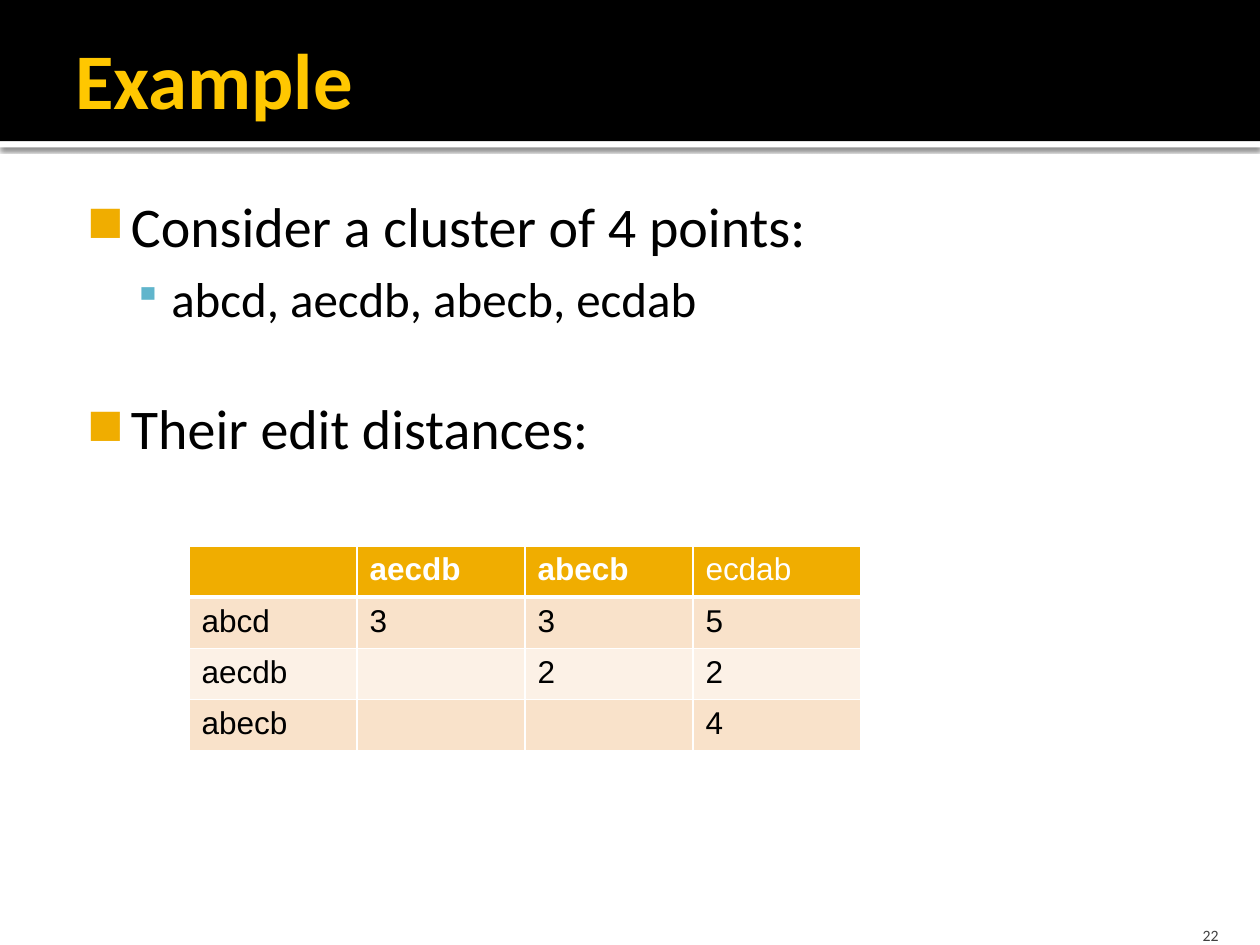
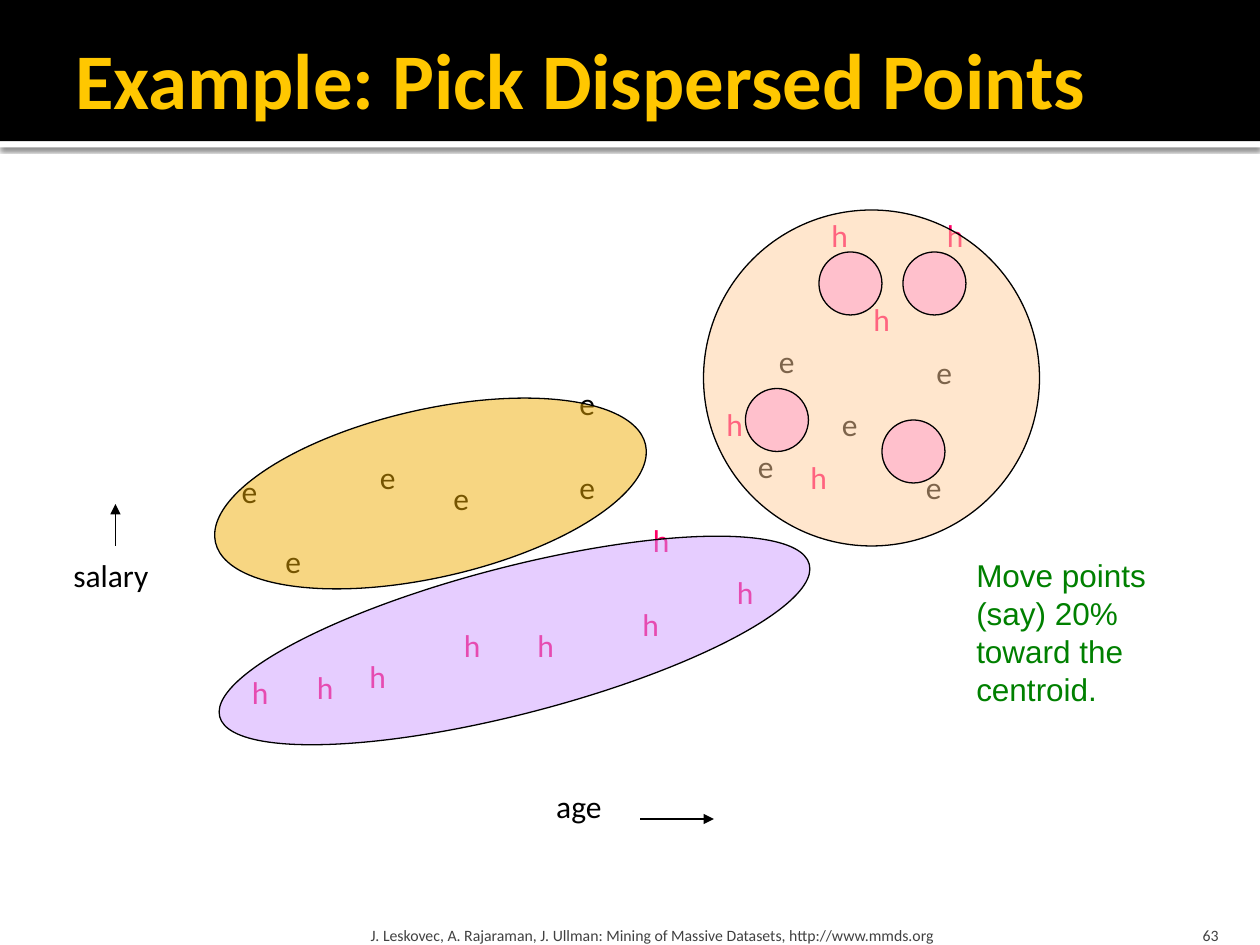
"""Build two clustering slides: an edit-distance table and a dispersed-points diagram."""
from dataclasses import dataclass

from lxml.etree import SubElement
from pptx import Presentation
from pptx.dml.color import RGBColor as RGB
from pptx.enum.shapes import MSO_CONNECTOR as Connector, MSO_SHAPE as Shape
from pptx.enum.text import MSO_ANCHOR as Anchor, MSO_AUTO_SIZE as AutoSize, PP_ALIGN as Align
from pptx.oxml.ns import qn
from pptx.util import Inches, Pt

COLUMNS, ROWS = 120, 90
TITLE_ONLY = 5


@dataclass(frozen=True)
class Theme:
    """Colours, fonts and type sizes shared by the slides."""
    black: str = "000000"
    white: str = "FFFFFF"
    title: str = "FFC700"
    amber: str = "F0AD00"
    teal: str = "60B5CC"
    footer: str = "414141"
    stripes: tuple = ("F9E2CA", "FCF1E6")
    rose: str = "FF0066"
    green: str = "008000"
    peach: str = "FFCC99"
    lilac: str = "CC99FF"
    pink: str = "FF99CC"
    face: str = "Calibri"
    plain_face: str = "Arial"
    title_size: int = 45
    body_sizes: tuple = (32, 28)
    label_size: int = 18
    footer_size: int = 9
    outline: float = 0.75


class Deck:
    """Holds the theme and the current slide, measured on a 120 by 90 grid."""

    def __init__(self, theme):
        """Open an empty 10 by 7.5 inch presentation."""
        self.theme = theme
        self.prs = Presentation()
        self.prs.slide_width, self.prs.slide_height = Inches(10), Inches(7.5)
        self.slide = None

    def x(self, columns):
        """Turn columns into a length."""
        return round(self.prs.slide_width * columns / COLUMNS)

    def y(self, rows):
        """Turn rows into a length."""
        return round(self.prs.slide_height * rows / ROWS)

    def area(self, left, top, width, height):
        """Turn a grid area into lengths."""
        return self.x(left), self.y(top), self.x(width), self.y(height)

    def new_slide(self, heading, number):
        """Start a slide with its bands, title and page number."""
        t = self.theme
        self.slide = self.prs.slides.add_slide(self.prs.slide_layouts[TITLE_ONLY])
        title = self.slide.shapes.title
        rule = self.shape(Shape.RECTANGLE, (0, 13.44, COLUMNS, 0.6), t.white)
        self.cast_shadow(rule)
        band = self.shape(Shape.RECTANGLE, (0, 0, COLUMNS, 13.44), t.black)
        for backdrop in (rule, band):
            title.element.addprevious(backdrop.element)
        title.left, title.top, title.width, title.height = self.area(6, 0.96, 108, 12.96)
        title.text_frame.text = heading
        self.frame(title.text_frame, (0.1, 0.05, 0.05, 0.05), Anchor.MIDDLE)
        paragraph = title.text_frame.paragraphs[0]
        paragraph.alignment = Align.LEFT
        self.style(paragraph.font, t.title_size, t.title, bold=True)
        self.footer(str(number), (107.64, 86.4, 9.6, 3.6), 0.1, Align.RIGHT)

    def style(self, font, size, color, face=None, bold=False):
        """Set the look of a font."""
        font.name, font.size, font.bold = face or self.theme.face, Pt(size), bold
        font.color.rgb = RGB.from_string(color)

    def frame(self, frame, margins=(0.1, 0.05, 0.1, 0.05), anchor=Anchor.TOP):
        """Set the margins, wrapping and anchor of a text frame."""
        frame.margin_left, frame.margin_top, frame.margin_right, frame.margin_bottom = map(
            Inches, margins)
        frame.word_wrap, frame.auto_size = True, AutoSize.NONE
        frame.vertical_anchor = anchor

    def label(self, text, area, color, face=None, size=None, align=Align.LEFT):
        """Place a text with one style and return its frame."""
        frame = self.slide.shapes.add_textbox(*self.area(*area)).text_frame
        frame.text = text
        self.frame(frame)
        for paragraph in frame.paragraphs:
            paragraph.alignment = align
            self.style(paragraph.font, size or self.theme.label_size, color, face)
        return frame

    def footer(self, text, area, side, align=Align.LEFT):
        """Place a small text at the foot of the slide."""
        frame = self.label(text, area, self.theme.footer, size=self.theme.footer_size, align=align)
        self.frame(frame, (side, 0.05, side, 0), Anchor.BOTTOM)

    def bullets(self, items, area):
        """Place a two-level list from (level, space before, text) items."""
        t = self.theme
        looks = (("◼", t.amber, 0.48, -0.35), ("▪", t.teal, 0.8, -0.3))
        frame = self.label("\n".join(text for *_, text in items), area, t.black)
        self.frame(frame, (0.06, 0.1, 0.1, 0.05))
        for paragraph, (level, gap, _) in zip(frame.paragraphs, items):
            mark, color, margin, indent = looks[level]
            paragraph.level, paragraph.space_before = level, Pt(gap)
            paragraph.font.size = Pt(t.body_sizes[level])
            props = paragraph._p.get_or_add_pPr()
            props.set("marL", str(Inches(margin)))
            props.set("indent", str(Inches(indent)))
            SubElement(SubElement(props, qn("a:buClr")), qn("a:srgbClr"), val=color)
            SubElement(props, qn("a:buSzPct"), val="80000")
            SubElement(props, qn("a:buChar"), char=mark)

    def shape(self, kind, area, color, opacity=None, outline=False, turn=0):
        """Place a filled preset shape."""
        shape = self.slide.shapes.add_shape(kind, *self.area(*area))
        shape.shadow.inherit = False
        shape.rotation = turn
        shape.fill.solid()
        shape.fill.fore_color.rgb = RGB.from_string(color)
        if opacity:
            fill = shape.element.spPr.find(qn("a:solidFill"))
            SubElement(fill[0], qn("a:alpha"), val=str(opacity * 1000))
        if outline:
            shape.line.color.rgb = RGB.from_string(self.theme.black)
            shape.line.width = Pt(self.theme.outline)
        else:
            shape.line.fill.background()
        return shape

    def cast_shadow(self, shape):
        """Give a shape a soft shadow below it."""
        effects = shape.element.spPr.find(qn("a:effectLst"))
        shadow = SubElement(effects, qn("a:outerShdw"), blurRad=str(Pt(2.5)), dist=str(Pt(0.8)),
                            dir="5400000", algn="t", rotWithShape="0")
        color = SubElement(shadow, qn("a:srgbClr"), val=self.theme.black)
        SubElement(color, qn("a:alpha"), val="60000")

    def cluster(self, area, color, turn=0):
        """Place a see-through outlined ellipse."""
        self.shape(Shape.OVAL, area, color, opacity=49, outline=True, turn=turn)

    def arrow(self, start, end):
        """Draw an arrow between two grid points."""
        (left, top), (right, bottom) = start, end
        arrow = self.slide.shapes.add_connector(
            Connector.STRAIGHT, self.x(left), self.y(top), self.x(right), self.y(bottom))
        arrow.line.color.rgb = RGB.from_string(self.theme.black)
        arrow.line.width = Pt(self.theme.outline)
        props = arrow.element.spPr
        SubElement(props.find(qn("a:ln")), qn("a:tailEnd"), type="triangle")
        SubElement(props, qn("a:effectLst"))

    def table(self, rows, area, plain_heads=()):
        """Place a banded table whose first row is the header."""
        t = self.theme
        grid = self.slide.shapes.add_table(len(rows), len(rows[0]), *self.area(*area)).table
        for r, row in enumerate(rows):
            for c, text in enumerate(row):
                cell, head = grid.cell(r, c), r == 0
                self.borders(cell, top=3 if r == 1 else 1, bottom=3 if head else 1)
                cell.fill.solid()
                cell.fill.fore_color.rgb = RGB.from_string(
                    t.amber if head else t.stripes[(r - 1) % 2])
                cell.text = text
                self.style(cell.text_frame.paragraphs[0].font, t.label_size,
                           t.white if head else t.black, t.plain_face,
                           bold=head and text not in plain_heads)

    def borders(self, cell, top, bottom):
        """Draw white borders around a cell."""
        props = cell._tc.get_or_add_tcPr()
        for side, width in (("L", 1), ("R", 1), ("T", top), ("B", bottom)):
            line = SubElement(props, qn(f"a:ln{side}"), w=str(Pt(width)))
            SubElement(SubElement(line, qn("a:solidFill")), qn("a:srgbClr"), val=self.theme.white)


def edit_distances(deck):
    """Build the slide with the table of edit distances."""
    deck.new_slide("Example", 22)
    deck.bullets([(0, 0, "Consider a cluster of 4 points:"),
                  (1, 5.6, "abcd, aecdb, abecb, ecdab"),
                  (0, 38, "Their edit distances:")], (6, 17.04, 108, 69))
    deck.table([("", "aecdb", "abecb", "ecdab"),
                ("abcd", "3", "3", "5"),
                ("aecdb", "", "2", "2"),
                ("abecb", "", "", "4")], (18, 52, 64, 19.5), plain_heads=("ecdab",))


def dispersed_points(deck):
    """Build the slide with clusters of points over age and salary."""
    t = deck.theme
    deck.new_slide("Example: Pick Dispersed Points", 63)
    e_points = [(21.84, 44.4), (42, 45), (54, 36), (71, 42), (73, 32), (88, 33),
                (26, 51), (35, 43), (54, 44), (79, 38), (87, 44)]
    h_points = [(22.8, 63.5), (68, 38), (69, 54), (76, 43), (82, 28), (89, 20), (43, 59),
                (50, 59), (61, 49), (60, 57), (78, 20), (29, 63), (34, 62)]
    for mark, points, color in (("e", e_points, t.black), ("h", h_points, t.rose)):
        for left, top in points:
            deck.label(mark, (left, top, 4.6, 6), color)
    deck.label("salary", (5.8, 52.4, 12.7, 6), t.black)
    deck.label("age", (51.8, 74.4, 8.9, 6), t.black)
    deck.arrow((61, 78), (68, 78))
    deck.arrow((11, 52), (11, 48))
    deck.cluster((20, 39, 42, 16), t.amber, turn=347.2)
    deck.cluster((67, 20, 32, 32), t.peach)
    deck.cluster((20, 54, 58, 14), t.lilac, turn=345.5)
    for left, top in ((78, 24), (86, 24), (71, 37), (84, 40)):
        deck.cluster((left, top, 6, 6), t.pink)
    deck.label("Move points\n(say) 20%\ntoward the\ncentroid.", (91.8, 52.4, 19.2, 15.7),
               t.green, t.plain_face)
    deck.footer("J. Leskovec, A. Rajaraman, J. Ullman: Mining of Massive Datasets, "
                "http://www.mmds.org", (34.7, 86.4, 72.2, 3.6), 0.05)


def main():
    """Build and save the deck."""
    deck = Deck(Theme())
    edit_distances(deck)
    dispersed_points(deck)
    deck.prs.save("out.pptx")


if __name__ == "__main__":
    main()
